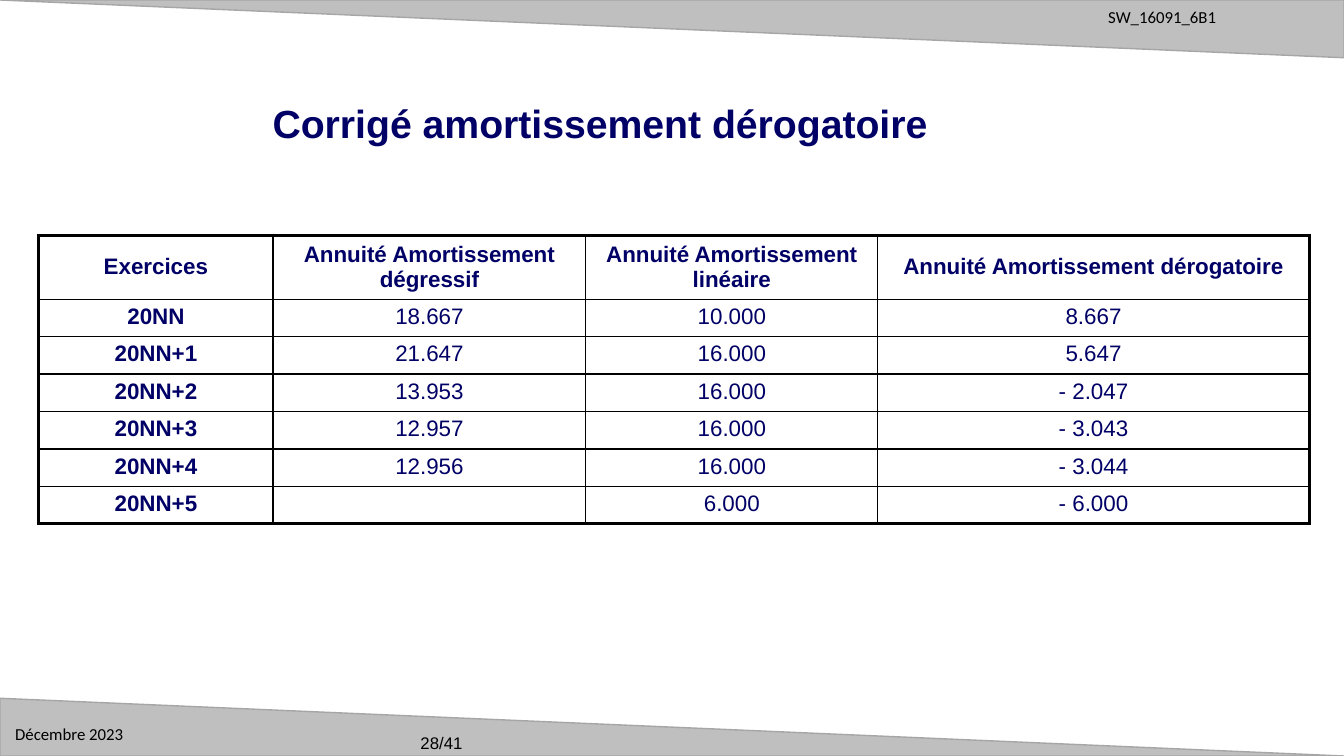
from collections import namedtuple

from lxml import etree
from pptx import Presentation
from pptx import util as u
from pptx.dml.color import RGBColor
from pptx.enum import shapes, text
from pptx.oxml import ns

PX = 9525
NAVY = RGBColor(0x00, 0x00, 0x66)
BLACK = RGBColor(0x00, 0x00, 0x00)
BAND_GREY = RGBColor(0xBF, 0xBF, 0xBF)
EDGE_GREY = RGBColor(0xA6, 0xA6, 0xA6)

Box = namedtuple("Box", "left top width height")
SLIDE = Box(0, 0, 1280, 720)
BAND_HEIGHT = 55

HEADINGS = ["Exercices", "Annuité Amortissement dégressif",
            "Annuité Amortissement linéaire", "Annuité Amortissement dérogatoire"]
ANNUITIES = [
    ["20NN", "18.667", "10.000", "8.667"],
    ["20NN+1", "21.647", "16.000", "5.647"],
    ["20NN+2", "13.953", "16.000", "- 2.047"],
    ["20NN+3", "12.957", "16.000", "- 3.043"],
    ["20NN+4", "12.956", "16.000", "- 3.044"],
    ["20NN+5", "", "6.000", "- 6.000"],
]
COLUMN_WIDTHS = [223, 298, 278, 411]
HEADING_HEIGHT = 61


def emu(box):
    return [u.Emu(length * PX) for length in box]


def add_run(paragraph, words, font_name, size, color, bold=False):
    run = paragraph.add_run()
    run.text = words
    run.font.name = font_name
    run.font.size = u.Pt(size)
    run.font.bold = bold
    run.font.color.rgb = color


def add_band(slide, box, rotation):
    band = slide.shapes.add_shape(shapes.MSO_SHAPE.RIGHT_TRIANGLE, *emu(box))
    band.rotation = rotation
    band.shadow.inherit = False
    band.fill.solid()
    band.fill.fore_color.rgb = BAND_GREY
    band.line.color.rgb = EDGE_GREY
    band.line.width = u.Pt(1)


def add_label(slide, box, words, font_name, anchor=text.MSO_ANCHOR.TOP):
    frame = slide.shapes.add_textbox(*emu(box)).text_frame
    frame.word_wrap = True
    frame.vertical_anchor = anchor
    add_run(frame.paragraphs[0], words, font_name, 12, BLACK)


def place_title(slide, box, words):
    title = slide.shapes.title
    title.left, title.top, title.width, title.height = emu(box)
    frame = title.text_frame
    frame.word_wrap = False
    frame.auto_size = text.MSO_AUTO_SIZE.NONE
    frame.vertical_anchor = text.MSO_ANCHOR.MIDDLE
    frame.paragraphs[0].alignment = text.PP_ALIGN.LEFT
    add_run(frame.paragraphs[0], words, "Arial", 28, NAVY, bold=True)


def set_borders(cell, widths):
    """Draw black borders; widths maps each side (L, R, T, B) to points."""
    properties = cell._tc.get_or_add_tcPr()
    for side, width in widths.items():
        line = etree.SubElement(properties, ns.qn(f"a:ln{side}"), w=str(u.Pt(width)))
        fill = etree.SubElement(line, ns.qn("a:solidFill"))
        etree.SubElement(fill, ns.qn("a:srgbClr"), val=str(BLACK))


def fill_cell(cell, words, is_heading, bold):
    if is_heading:
        cell.vertical_anchor = text.MSO_ANCHOR.MIDDLE
    paragraph = cell.text_frame.paragraphs[0]
    paragraph.alignment = text.PP_ALIGN.CENTER
    if words:
        add_run(paragraph, words, "Arial", 16, NAVY, bold)
    else:
        etree.SubElement(paragraph._p, ns.qn("a:endParaRPr"), sz="1600")


def add_annuity_table(slide, box):
    rows = [HEADINGS, *ANNUITIES]
    last_row, last_column = len(rows) - 1, len(HEADINGS) - 1
    table = slide.shapes.add_table(len(rows), len(HEADINGS), *emu(box)).table
    table.first_row = table.horz_banding = False
    for column, width in zip(table.columns, COLUMN_WIDTHS):
        column.width = u.Emu(width * PX)
    year_height = (box.height - HEADING_HEIGHT) * PX // last_row
    for r, row in enumerate(rows):
        table.rows[r].height = u.Emu(year_height if r else HEADING_HEIGHT * PX)
        for c, words in enumerate(row):
            cell = table.cell(r, c)
            fill_cell(cell, words, is_heading=r == 0, bold=r == 0 or c == 0)
            outer = {"L": c == 0, "R": c == last_column, "T": r == 0, "B": r == last_row}
            set_borders(cell, {side: 2.25 if edge else 1 for side, edge in outer.items()})
            cell.fill.background()


def add_header(slide, box):
    add_band(slide, box, rotation=180)
    add_label(slide, Box(box.left + 1046, box.top + 2, 229, 29), "SW_16091_6B1", "Calibri")


def add_footer(slide, box):
    add_band(slide, box, rotation=0)
    add_label(slide, Box(box.left + 391, box.top + 9, 320, 48), "28/41", "Arial",
              text.MSO_ANCHOR.BOTTOM)
    add_label(slide, Box(box.left + 5, box.top + 20, 132, 29), "Décembre 2023", "Calibri")


def main():
    deck = Presentation()
    deck.slide_width, deck.slide_height = emu(SLIDE)[2:]
    slide = deck.slides.add_slide(deck.slide_layouts.get_by_name("Title Only"))
    add_header(slide, Box(0, 0, SLIDE.width, BAND_HEIGHT))
    add_footer(slide, Box(0, SLIDE.height - BAND_HEIGHT, SLIDE.width, BAND_HEIGHT))
    add_annuity_table(slide, Box(37, 224, sum(COLUMN_WIDTHS), 275))
    place_title(slide, Box(250, 89, 651, 56), "Corrigé amortissement dérogatoire")
    deck.save("out.pptx")


if __name__ == "__main__":
    main()
